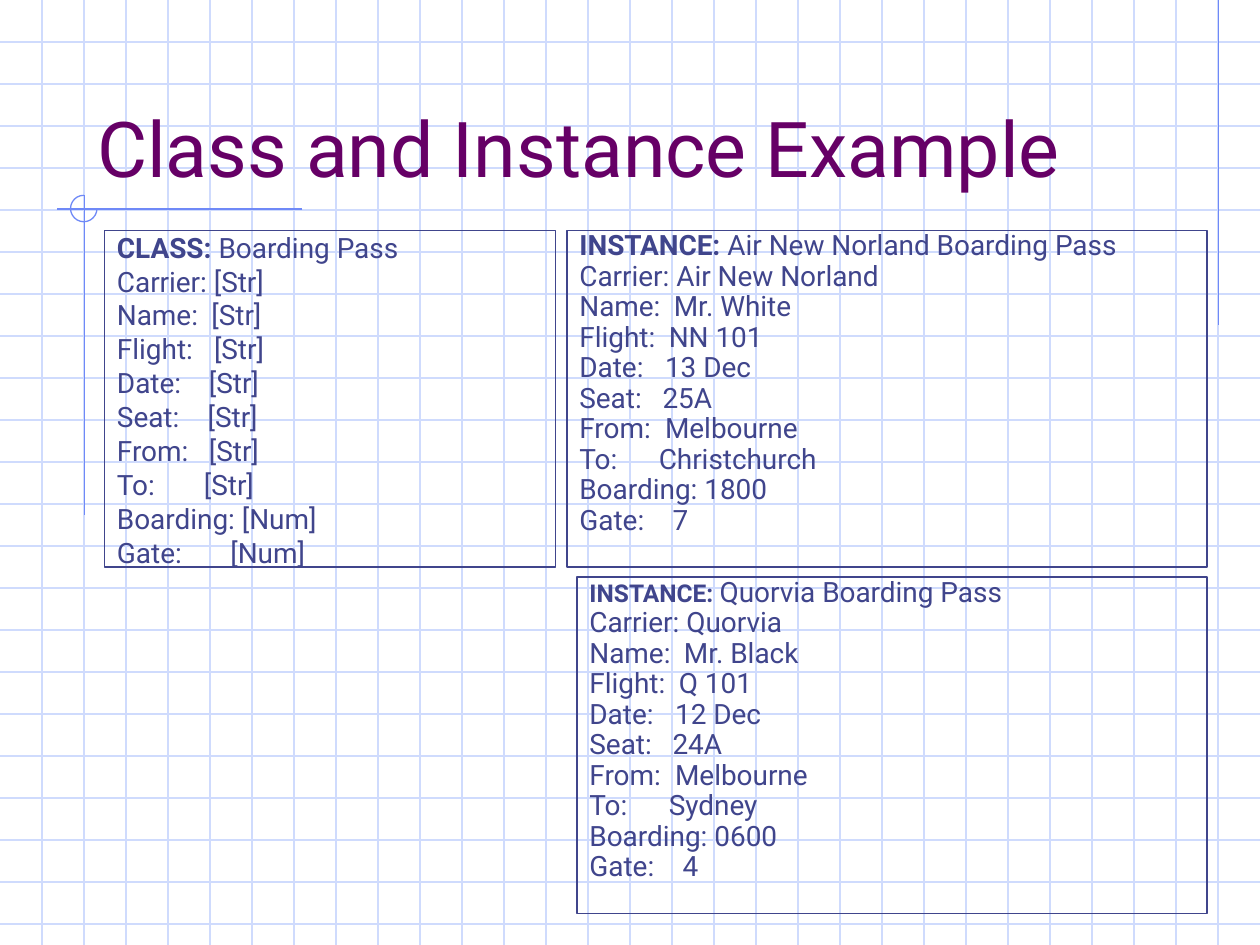
from dataclasses import dataclass

from lxml import etree
from pptx import Presentation
from pptx.dml.color import RGBColor
from pptx.enum import shapes, text
from pptx.oxml import ns
from pptx.util import Inches, Pt

FONT = "Roboto"
INK, PLUM, GRID, ACCENT = "40458C", "660066", "CFDBFD", "6F89F7"
WIDTH, HEIGHT = 10, 7.5
CELLS_PER_INCH = 3

LABELS = ["Carrier", "Name", "Flight", "Date", "Seat", "From", "To", "Boarding", "Gate"]
# Where each value starts, in inches; 0 means right after the label
INSTANCE_STOPS = [0, 0.75, 0.71, 0.68, 0.66, 0.68, 0.63, 0, 0.74]
CLASS_STOPS = [0, 0.75, 0.77, 0.73, 0.72, 0.73, 0.69, 0, 0.9]


@dataclass
class Card:
    left: float
    top: float
    width: float
    kind: str
    name: str
    values: list[str]
    stops: list[float]
    spacing: float
    kind_size: int = 16
    height: float = 2.67


CARDS = [
    Card(4.58, 4.58, 5, "INSTANCE:", "Quorvia Boarding Pass",
         ["Quorvia", "Mr. Black", "Q 101", "12 Dec", "24A", "Melbourne", "Sydney", "0600", "4"],
         INSTANCE_STOPS, 0.7, kind_size=14),
    Card(4.5, 1.83, 5.08, "INSTANCE:", "Air New Norland Boarding Pass",
         ["Air New Norland", "Mr. White", "NN 101", "13 Dec", "25A", "Melbourne",
          "Christchurch", "1800", "7"],
         INSTANCE_STOPS, 0.7),
    Card(0.83, 1.83, 3.58, "CLASS:", "Boarding Pass",
         ["[Str]"] * 7 + ["[Num]"] * 2, CLASS_STOPS, 0.8),
]


def rgb(value: str) -> RGBColor:
    return RGBColor.from_string(value)


def set_outline(shape, color: str) -> None:
    shape.line.color.rgb = rgb(color)
    shape.line.width = Pt(0.75)


def set_font(font, size: int, color: str) -> None:
    font.name, font.size, font.color.rgb = FONT, Pt(size), rgb(color)


def add_line(slide, x1: float, y1: float, x2: float, y2: float, color: str) -> None:
    line = slide.shapes.add_connector(shapes.MSO_CONNECTOR.STRAIGHT, Inches(x1), Inches(y1),
                                      Inches(x2), Inches(y2))
    set_outline(line, color)
    etree.SubElement(line._element.spPr, ns.qn("a:effectLst"))


def add_tab_stop(paragraph, position: float) -> None:
    tabs = etree.SubElement(paragraph._p.get_or_add_pPr(), ns.qn("a:tabLst"))
    etree.SubElement(tabs, ns.qn("a:tab"), pos=str(Inches(position)), algn="l")


def add_card(slide, card: Card) -> None:
    box = slide.shapes.add_shape(shapes.MSO_SHAPE.RECTANGLE, Inches(card.left), Inches(card.top),
                                 Inches(card.width), Inches(card.height))
    box.shadow.inherit = False
    box.fill.background()
    set_outline(box, INK)
    frame = box.text_frame
    frame.word_wrap = True
    frame.vertical_anchor = text.MSO_ANCHOR.TOP

    def style(paragraph) -> None:
        paragraph.alignment = text.PP_ALIGN.LEFT
        paragraph.line_spacing = card.spacing
        paragraph.space_before = Pt(4)
        set_font(paragraph.font, 16, INK)

    heading = frame.paragraphs[0]
    style(heading)
    kind = heading.add_run()
    kind.text = card.kind + " "
    kind.font.bold = True
    kind.font.size = Pt(card.kind_size)
    heading.add_run().text = card.name

    for label, value, stop in zip(LABELS, card.values, card.stops):
        field = frame.add_paragraph()
        gap = " "
        if stop:
            gap = "\t"
            add_tab_stop(field, stop)  # must precede the font in the XML
        style(field)
        field.add_run().text = f"{label}:{gap}{value}"


def add_backdrop(slide) -> None:
    # Graph paper
    for row in range(1, int(HEIGHT * CELLS_PER_INCH) + 1):
        y = row / CELLS_PER_INCH
        add_line(slide, 0, y, WIDTH, y, GRID)
    for column in range(1, WIDTH * CELLS_PER_INCH):
        x = column / CELLS_PER_INCH
        add_line(slide, x, 0, x, HEIGHT, GRID)

    # Margin rules
    add_line(slide, 9.67, 0, 9.67, 2.58, ACCENT)
    add_line(slide, 2.4, 1.66, 0.45, 1.66, ACCENT)
    add_line(slide, 0.67, 1.55, 0.67, 4.09, ACCENT)

    # Three-quarter circle where the rules cross
    arc = slide.shapes.add_shape(shapes.MSO_SHAPE.ARC, Inches(0.56), Inches(1.55),
                                 Inches(0.21), Inches(0.21))
    arc.shadow.inherit = False
    arc.fill.background()
    set_outline(arc, ACCENT)
    arc.adjustments[0], arc.adjustments[1] = 0, 162


def add_title(slide, wording: str) -> None:
    title = slide.shapes.title
    title.left, title.top = Inches(0.67), Inches(0.33)
    title.width, title.height = Inches(8.5), Inches(1.25)
    frame = title.text_frame
    frame.text = wording
    frame.auto_size = text.MSO_AUTO_SIZE.NONE
    frame.vertical_anchor = text.MSO_ANCHOR.BOTTOM
    frame.paragraphs[0].alignment = text.PP_ALIGN.LEFT
    set_font(frame.paragraphs[0].font, 44, PLUM)
    slide.shapes._spTree.append(title._element)  # bring in front of the grid


def main() -> None:
    deck = Presentation()
    deck.slide_width, deck.slide_height = Inches(WIDTH), Inches(HEIGHT)
    slide = deck.slides.add_slide(deck.slide_layouts[5])
    add_backdrop(slide)
    add_title(slide, "Class and Instance Example")
    for card in CARDS:
        add_card(slide, card)
    deck.save("out.pptx")


if __name__ == "__main__":
    main()
